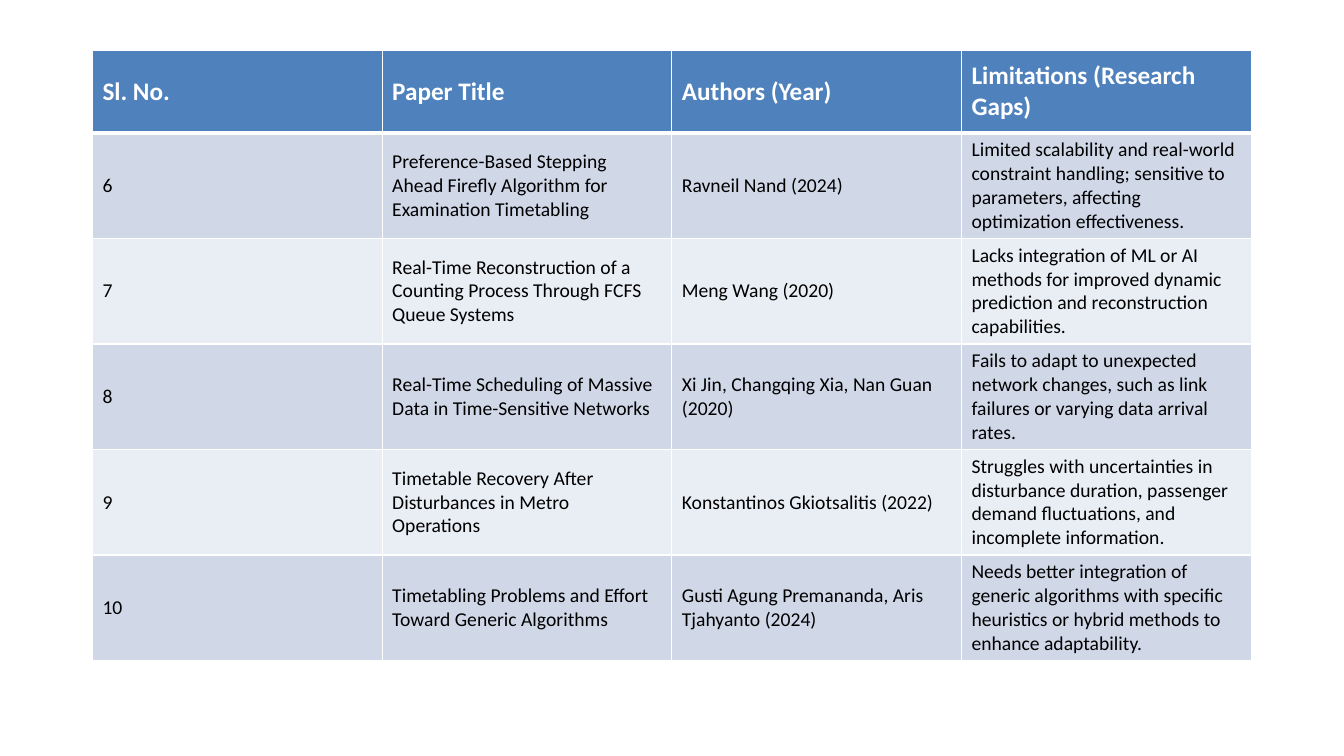
from dataclasses import dataclass

from lxml import etree
from pptx import Presentation
from pptx.dml.color import RGBColor
from pptx.enum.text import MSO_ANCHOR
from pptx.oxml.ns import qn
from pptx.table import _Cell
from pptx.util import Cm, Pt

MIDDLE = MSO_ANCHOR.MIDDLE

WHITE = RGBColor(0xFF, 0xFF, 0xFF)
BLACK = RGBColor(0x00, 0x00, 0x00)
HEADER_BLUE = RGBColor(0x4F, 0x81, 0xBD)
DARK_BAND = RGBColor(0xD0, 0xD8, 0xE8)
LIGHT_BAND = RGBColor(0xE9, 0xED, 0xF4)

FONT_NAME = "Calibri"
COLUMN_WIDTH = Cm(7.3)
HEADER_HEIGHT = Cm(2.08)
BODY_HEIGHT = Cm(2.46)
THIN = Pt(1)
THICK = Pt(3)


@dataclass(frozen=True)
class Paper:
    number: str
    title: str
    authors: str
    limitations: str

    def texts(self) -> list[str]:
        return [self.number, self.title, self.authors, self.limitations]


@dataclass(frozen=True)
class RowStyle:
    fill: RGBColor
    color: RGBColor
    size: int
    bold: bool
    top: int = THIN
    bottom: int = THIN


HEADER = Paper("Sl. No.", "Paper Title", "Authors (Year)", "Limitations (Research Gaps)")
PAPERS = [
    Paper(
        "6",
        "Preference-Based Stepping Ahead Firefly Algorithm for Examination Timetabling",
        "Ravneil Nand (2024)",
        "Limited scalability and real-world constraint handling; sensitive to parameters, "
        "affecting optimization effectiveness.",
    ),
    Paper(
        "7",
        "Real-Time Reconstruction of a Counting Process Through FCFS Queue Systems",
        "Meng Wang (2020)",
        "Lacks integration of ML or AI methods for improved dynamic prediction and "
        "reconstruction capabilities.",
    ),
    Paper(
        "8",
        "Real-Time Scheduling of Massive Data in Time-Sensitive Networks",
        "Xi Jin, Changqing Xia, Nan Guan (2020)",
        "Fails to adapt to unexpected network changes, such as link failures or varying "
        "data arrival rates.",
    ),
    Paper(
        "9",
        "Timetable Recovery After Disturbances in Metro Operations",
        "Konstantinos Gkiotsalitis (2022)",
        "Struggles with uncertainties in disturbance duration, passenger demand "
        "fluctuations, and incomplete information.",
    ),
    Paper(
        "10",
        "Timetabling Problems and Effort Toward Generic Algorithms",
        "Gusti Agung Premananda, Aris Tjahyanto (2024)",
        "Needs better integration of generic algorithms with specific heuristics or hybrid "
        "methods to enhance adaptability.",
    ),
]


def row_style(row_index: int) -> RowStyle:
    if row_index == 0:
        return RowStyle(HEADER_BLUE, WHITE, 18, True, bottom=THICK)
    fill = DARK_BAND if row_index % 2 else LIGHT_BAND
    return RowStyle(fill, BLACK, 14, False, top=THICK if row_index == 1 else THIN)


def add_borders(cell: _Cell, style: RowStyle) -> None:
    properties = cell._tc.get_or_add_tcPr()
    widths = {"lnL": THIN, "lnR": THIN, "lnT": style.top, "lnB": style.bottom}
    for side, width in widths.items():
        line = etree.SubElement(properties, qn(f"a:{side}"), w=str(int(width)))
        fill = etree.SubElement(line, qn("a:solidFill"))
        etree.SubElement(fill, qn("a:srgbClr"), val=str(WHITE))


def fill_cell(cell: _Cell, text: str, style: RowStyle) -> None:
    add_borders(cell, style)
    cell.fill.solid()
    cell.fill.fore_color.rgb = style.fill
    cell.vertical_anchor = MIDDLE
    cell.text = text
    font = cell.text_frame.paragraphs[0].font
    font.name = FONT_NAME
    font.size = Pt(style.size)
    font.bold = style.bold
    font.color.rgb = style.color


def main() -> None:
    presentation = Presentation()
    presentation.slide_width = Cm(33.87)
    presentation.slide_height = Cm(19.05)
    slide = presentation.slides.add_slide(presentation.slide_layouts[6])

    records = [HEADER, *PAPERS]
    column_count = len(HEADER.texts())
    table = slide.shapes.add_table(
        len(records),
        column_count,
        Cm(2.33),
        Cm(1.27),
        column_count * COLUMN_WIDTH,
        HEADER_HEIGHT + len(PAPERS) * BODY_HEIGHT,
    ).table
    for column in table.columns:
        column.width = COLUMN_WIDTH
    for row_index, (row, record) in enumerate(zip(table.rows, records)):
        row.height = BODY_HEIGHT if row_index else HEADER_HEIGHT
        for cell, text in zip(row.cells, record.texts()):
            fill_cell(cell, text, row_style(row_index))

    presentation.save("out.pptx")


if __name__ == "__main__":
    main()
